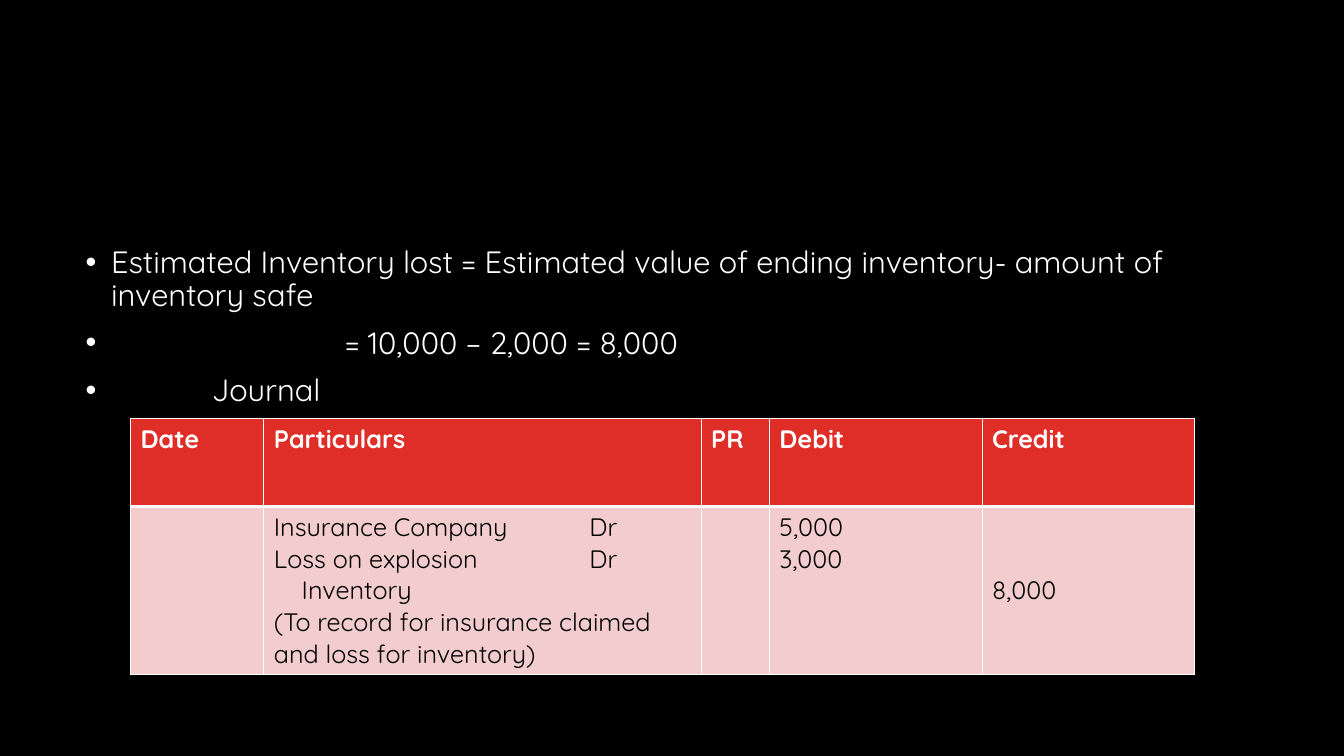
from dataclasses import dataclass

from lxml import etree
from pptx import Presentation
from pptx import util as u
from pptx.dml.color import RGBColor
from pptx.oxml import ns

BLACK = RGBColor(0x00, 0x00, 0x00)
WHITE = RGBColor(0xFF, 0xFF, 0xFF)
RED = RGBColor(0xDF, 0x2E, 0x28)
PINK = RGBColor(0xF3, 0xCD, 0xCD)
FONT = "Quicksand"
DEBIT_MARK_TAB = u.Cm(7.95)
COLUMN_WIDTHS = (3.36, 11.02, 1.72, 5.36, 5.36)
ROW_HEIGHTS = (2.22, 4.23)


@dataclass(frozen=True)
class Line:
    text: str
    indent: float = 0


@dataclass(frozen=True)
class Entry:
    lines: tuple[Line, ...] = ()
    top_margin: float = 0.13


BULLETS = (
    Line("Estimated Inventory lost = Estimated value of ending inventory- "
         "amount of inventory safe", 0.64),
    Line("= 10,000 – 2,000 = 8,000", 6.53),
    Line("Journal", 3.18),
)
HEADINGS = tuple(Entry((Line(heading),)) for heading in
                 ("Date", "Particulars", "PR", "Debit", "Credit"))
JOURNAL = (
    Entry(),
    Entry((Line("Insurance Company\tDr"), Line("Loss on explosion\tDr"),
           Line("Inventory", 0.7),
           Line("(To record for insurance claimed and loss for inventory)"))),
    Entry(),
    Entry((Line("5,000"), Line("3,000"))),
    Entry((Line("8,000"),), top_margin=1.72),
)


def add_run(paragraph, text: str, size: float, color: RGBColor, bold: bool = False) -> None:
    run = paragraph.add_run()
    run.text = text
    run.font.name = FONT
    run.font.size = u.Pt(size)
    run.font.bold = bold
    run.font.color.rgb = color


def add_element(parent, tag: str, **attributes):
    return etree.SubElement(parent, ns.qn(tag),
                            {name: str(value) for name, value in attributes.items()})


def add_bullets(slide) -> None:
    box = slide.shapes.add_textbox(u.Cm(1.91), u.Cm(6.1), u.Cm(30.05), u.Cm(11.18))
    frame = box.text_frame
    frame.word_wrap = True
    for index, line in enumerate(BULLETS):
        paragraph = frame.paragraphs[0] if index == 0 else frame.add_paragraph()
        paragraph.line_spacing = 0.9
        paragraph.space_before = u.Pt(10)
        properties = paragraph._p.get_or_add_pPr()
        properties.set("marL", str(u.Cm(line.indent)))
        properties.set("indent", str(-u.Cm(line.indent)))
        add_element(properties, "a:buFont", typeface="Arial")
        add_element(properties, "a:buChar", char="•")
        add_run(paragraph, line.text, 22, WHITE)


def add_borders(cell, bottom_width: float) -> None:
    properties = cell._tc.get_or_add_tcPr()
    for side, width in (("L", 1), ("R", 1), ("T", 1), ("B", bottom_width)):
        border = add_element(properties, f"a:ln{side}", w=u.Pt(width))
        fill = add_element(border, "a:solidFill")
        add_element(fill, "a:srgbClr", val=WHITE)


def fill_cell(cell, entry: Entry, is_heading: bool) -> None:
    add_borders(cell, 3 if is_heading else 1)
    cell.fill.solid()
    cell.fill.fore_color.rgb = RED if is_heading else PINK
    cell.margin_top = u.Cm(entry.top_margin)
    frame = cell.text_frame
    for index, line in enumerate(entry.lines):
        paragraph = frame.paragraphs[0] if index == 0 else frame.add_paragraph()
        properties = paragraph._p.get_or_add_pPr()
        properties.set("marL", str(u.Cm(line.indent)))
        if "\t" in line.text:
            tabs = add_element(properties, "a:tabLst")
            add_element(tabs, "a:tab", pos=DEBIT_MARK_TAB, algn="l")
        add_run(paragraph, line.text, 18, WHITE if is_heading else BLACK, is_heading)


def add_journal(slide) -> None:
    frame = slide.shapes.add_table(
        len(ROW_HEIGHTS), len(COLUMN_WIDTHS), u.Cm(3.29), u.Cm(10.54),
        u.Cm(sum(COLUMN_WIDTHS)), u.Cm(sum(ROW_HEIGHTS)))
    table = frame.table
    table.horz_banding = False
    for column, width in zip(table.columns, COLUMN_WIDTHS):
        column.width = u.Cm(width)
    for row, height, entries in zip(table.rows, ROW_HEIGHTS, (HEADINGS, JOURNAL)):
        row.height = u.Cm(height)
        for cell, entry in zip(row.cells, entries):
            fill_cell(cell, entry, entries is HEADINGS)


def main() -> None:
    presentation = Presentation()
    presentation.slide_width = u.Cm(33.87)
    presentation.slide_height = u.Cm(19.05)
    slide = presentation.slides.add_slide(presentation.slide_layouts[6])
    slide.background.fill.solid()
    slide.background.fill.fore_color.rgb = BLACK
    add_bullets(slide)
    add_journal(slide)
    presentation.save("out.pptx")


if __name__ == "__main__":
    main()
